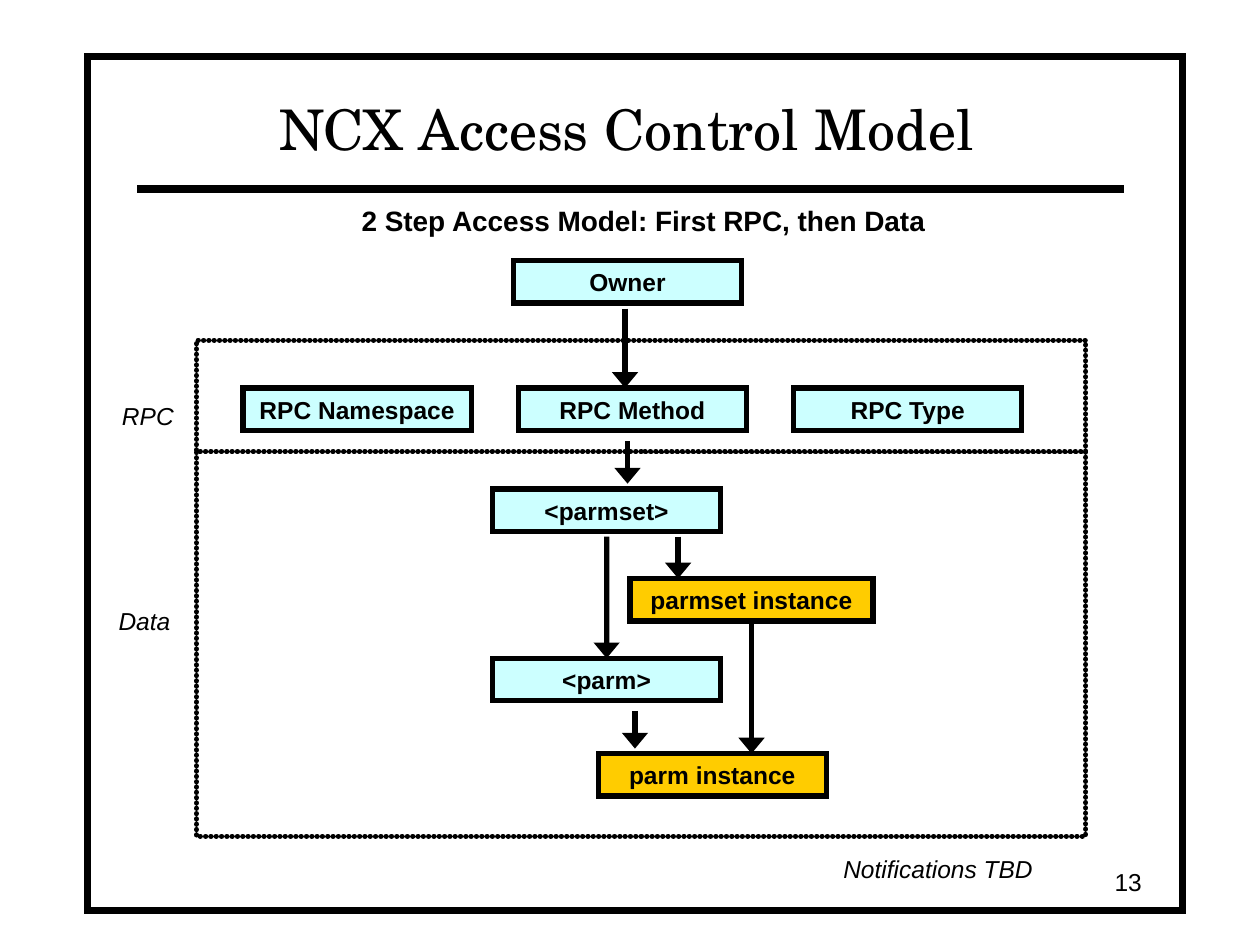
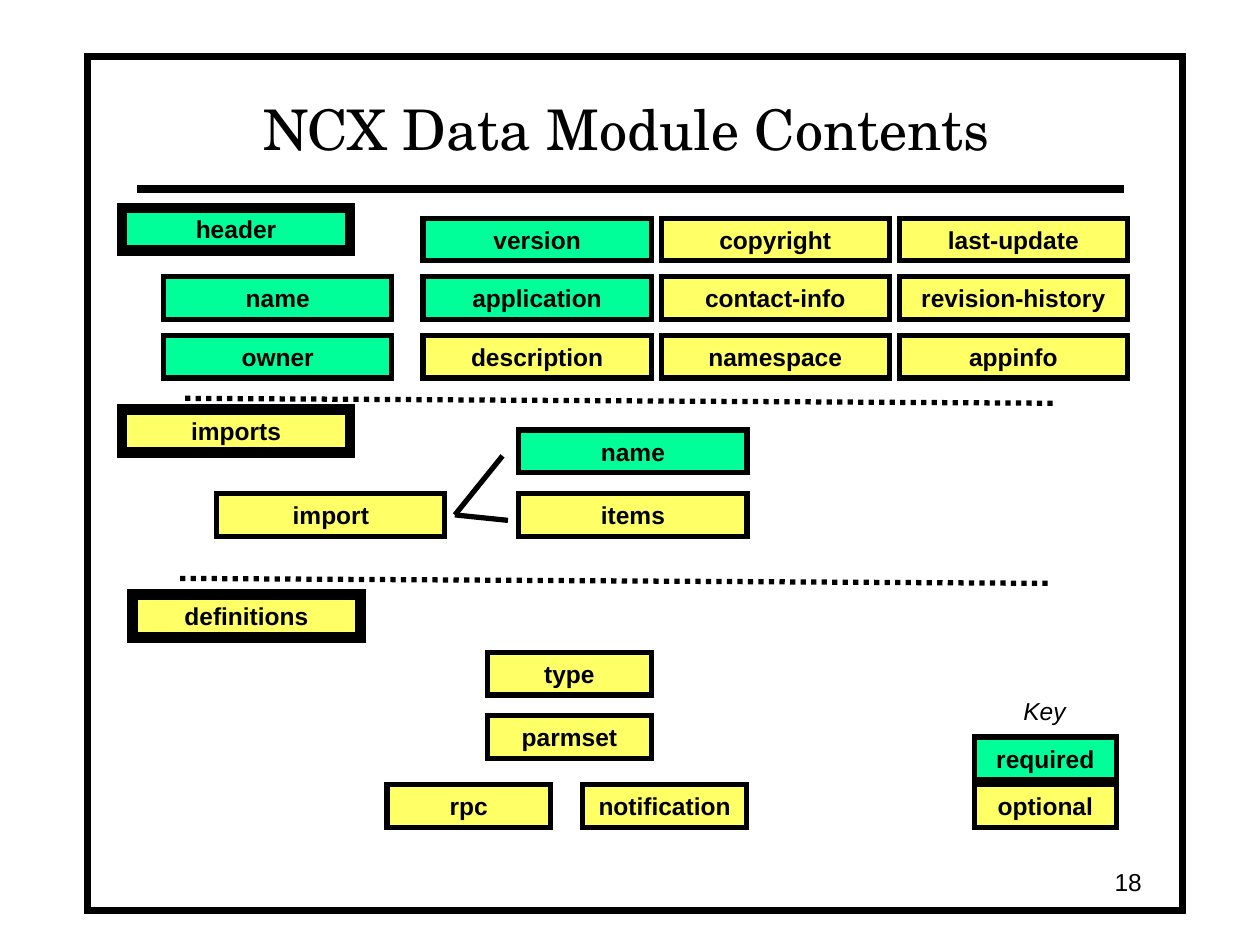
from lxml.etree import SubElement
from pptx import Presentation
from pptx.dml.color import RGBColor
from pptx.enum.dml import MSO_LINE
from pptx.enum.shapes import MSO_CONNECTOR, MSO_SHAPE
from pptx.enum.text import MSO_ANCHOR as ANCHOR, PP_ALIGN as ALIGN
from pptx.oxml.ns import qn
from pptx.util import Cm, Pt

BLACK = RGBColor(0x00, 0x00, 0x00)
WHITE = RGBColor(0xFF, 0xFF, 0xFF)
CYAN = RGBColor(0xCC, 0xFF, 0xFF)
GOLD = RGBColor(0xFF, 0xCC, 0x00)
GREEN = RGBColor(0x00, 0xFF, 0x99)
YELLOW = RGBColor(0xFF, 0xFF, 0x66)
BOX_WIDTH, BOX_HEIGHT = 4.6, 0.86


def write(slide, text, left, top, width=BOX_WIDTH, height=BOX_HEIGHT, fill=None,
          border=3, size=14, font="Arial", bold=False, italic=False,
          align=ALIGN.LEFT, anchor=ANCHOR.TOP):
    """Put text on the slide, inside a bordered rectangle if a fill is given."""
    place = Cm(left), Cm(top), Cm(width), Cm(height)
    if fill is None:
        holder = slide.shapes.add_textbox(*place)
    else:
        holder = slide.shapes.add_shape(MSO_SHAPE.RECTANGLE, *place)
        holder.shadow.inherit = False
        holder.fill.solid()
        holder.fill.fore_color.rgb = fill
        holder.line.color.rgb = BLACK
        holder.line.width = Pt(border)
        SubElement(holder.line._get_or_add_ln(), qn("a:miter"), lim="800000")
    frame = holder.text_frame
    frame.word_wrap = True
    frame.vertical_anchor = anchor
    if text:
        paragraph = frame.paragraphs[0]
        paragraph.alignment = align
        run = paragraph.add_run()
        run.text = text
        run.font.name, run.font.size = font, Pt(size)
        run.font.bold, run.font.italic = bold, italic
        run.font.color.rgb = BLACK
    return holder


def draw_line(slide, x1, y1, x2, y2, weight=3, arrow=False):
    line = slide.shapes.add_connector(MSO_CONNECTOR.STRAIGHT, Cm(x1), Cm(y1), Cm(x2), Cm(y2))
    line.line.color.rgb = BLACK
    line.line.width = Pt(weight)
    if arrow:
        SubElement(line.line._get_or_add_ln(), qn("a:tailEnd"), type="triangle", w="lg")
    SubElement(line._element.spPr, qn("a:effectLst"))
    return line


label = dict(bold=True, align=ALIGN.CENTER, anchor=ANCHOR.MIDDLE)

deck = Presentation()
deck.slide_width, deck.slide_height = Cm(25.4), Cm(19.05)

# Frame, title, rule and page number of both slides
slides = []
for title, number in [("NCX Access Control Model", "13"), ("NCX Data Module Contents", "18")]:
    slide = deck.slides.add_slide(deck.slide_layouts[6])
    write(slide, "", 1.76, 1.13, 22.07, 17.22, fill=WHITE, border=4)
    draw_line(slide, 2.77, 3.81, 22.66, 3.81, weight=4.5)
    write(slide, title, 2.74, 1.48, 19.79, 1.9, size=32, font="TeX Gyre Schola",
          align=ALIGN.CENTER, anchor=ANCHOR.BOTTOM)
    write(slide, number, 17.99, 17.35, 5.28, 0.84, align=ALIGN.RIGHT, anchor=ANCHOR.MIDDLE)
    slides.append(slide)
access, contents = slides

# Access control model: dotted zones
for top, height in [(9.09, 7.77), (6.86, 2.24)]:
    zone = write(access, "", 3.96, top, 17.93, height, fill=WHITE)
    outline = zone.line._get_or_add_ln()
    outline.set("cap", "rnd")
    dots = SubElement(outline, qn("a:custDash"))
    SubElement(dots, qn("a:ds"), d="1000", sp="100000")
    outline.find(qn("a:miter")).addprevious(dots)

write(access, "2 Step Access Model: First RPC, then Data", 7.04, 3.98, 12.37, 0.94,
      size=16, bold=True)
for text, left, top, width in [("RPC", 2.21, 7.95, 1.7), ("Data", 2.14, 12.09, 1.75),
                               ("Notifications TBD", 16.75, 17.1, 5)]:
    write(access, text, left, top, width, italic=True)

# Access control model: boxes and arrows
write(access, "Owner", 10.35, 5.25, fill=CYAN, **label)
for column, text in enumerate(["RPC Namespace", "RPC Method", "RPC Type"]):
    write(access, text, 4.9 + 5.55 * column, 7.82, fill=CYAN, **label)
write(access, "<parmset>", 9.93, 9.86, fill=CYAN, **label)
parm = write(access, "<parm>", 9.93, 13.27, fill=CYAN, **label)
parmset_instance = write(access, "parmset instance", 12.7, 11.66, 4.9, fill=GOLD, **label)
write(access, "parm instance", 12.06, 15.19, fill=GOLD, **label)

for x, start, end in [(12.6, 6.22, 7.82), (12.65, 8.89, 9.75),
                      (12.8, 14.33, 15.09), (13.67, 10.82, 11.66)]:
    draw_line(access, x, start, x, end, arrow=True)
draw_line(access, 12.23, 10.82, 12.23, 13.27, arrow=True).end_connect(parm, 0)
draw_line(access, 15.15, 12.52, 15.15, 15.19, arrow=True).begin_connect(parmset_instance, 2)

# Data module contents: section heads and the lines between sections
for text, left, top, fill in [("header", 2.46, 4.19, GREEN), ("imports", 2.46, 8.26, YELLOW),
                              ("definitions", 2.67, 11.99, YELLOW)]:
    write(contents, text, left, top, fill=fill, border=6, **label)
for left, top in [(3.73, 8.03), (3.63, 11.66)]:
    divider = draw_line(contents, left, top, left + 17.5, top + 0.1)
    divider.line.dash_style = MSO_LINE.ROUND_DOT

# Header fields
required = {"name", "owner", "version", "application"}
header_columns = [
    (3.3, [None, "name", "owner"]),
    (8.53, ["version", "application", "description"]),
    (13.33, ["copyright", "contact-info", "namespace"]),
    (18.13, ["last-update", "revision-history", "appinfo"]),
]
for left, fields in header_columns:
    for row, field in enumerate(fields):
        if field:
            write(contents, field, left, 4.4 + 1.18 * row,
                  fill=GREEN if field in required else YELLOW, **label)

# Imports
write(contents, "import", 4.37, 9.95, fill=YELLOW, **label)
write(contents, "name", 10.46, 8.67, fill=GREEN, **label)
write(contents, "items", 10.46, 9.95, fill=YELLOW, **label)
for x, y in [(10.13, 9.19), (10.24, 10.49)]:
    draw_line(contents, 9.17, 10.38, x, y)

# Definitions
for text, left, top in [("type", 9.83, 13.15), ("parmset", 9.83, 14.43),
                        ("rpc", 7.8, 15.82), ("notification", 11.75, 15.82)]:
    write(contents, text, left, top, 3.3, fill=YELLOW, **label)

# Key
write(contents, "Key", 20.38, 13.9, 1.8, italic=True)
for text, top, fill in [("required", 14.86, GREEN), ("optional", 15.82, YELLOW)]:
    write(contents, text, 19.64, top, 2.87, fill=fill, **label)

deck.save("out.pptx")
